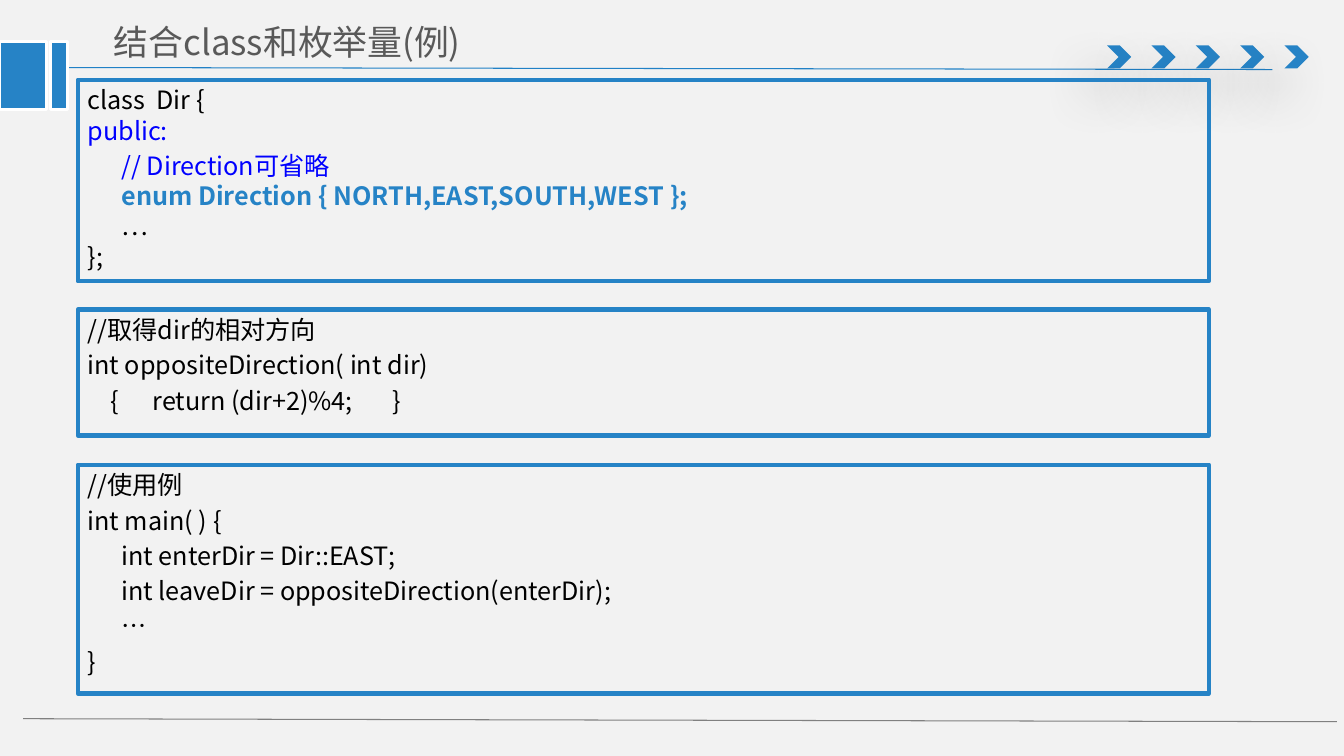
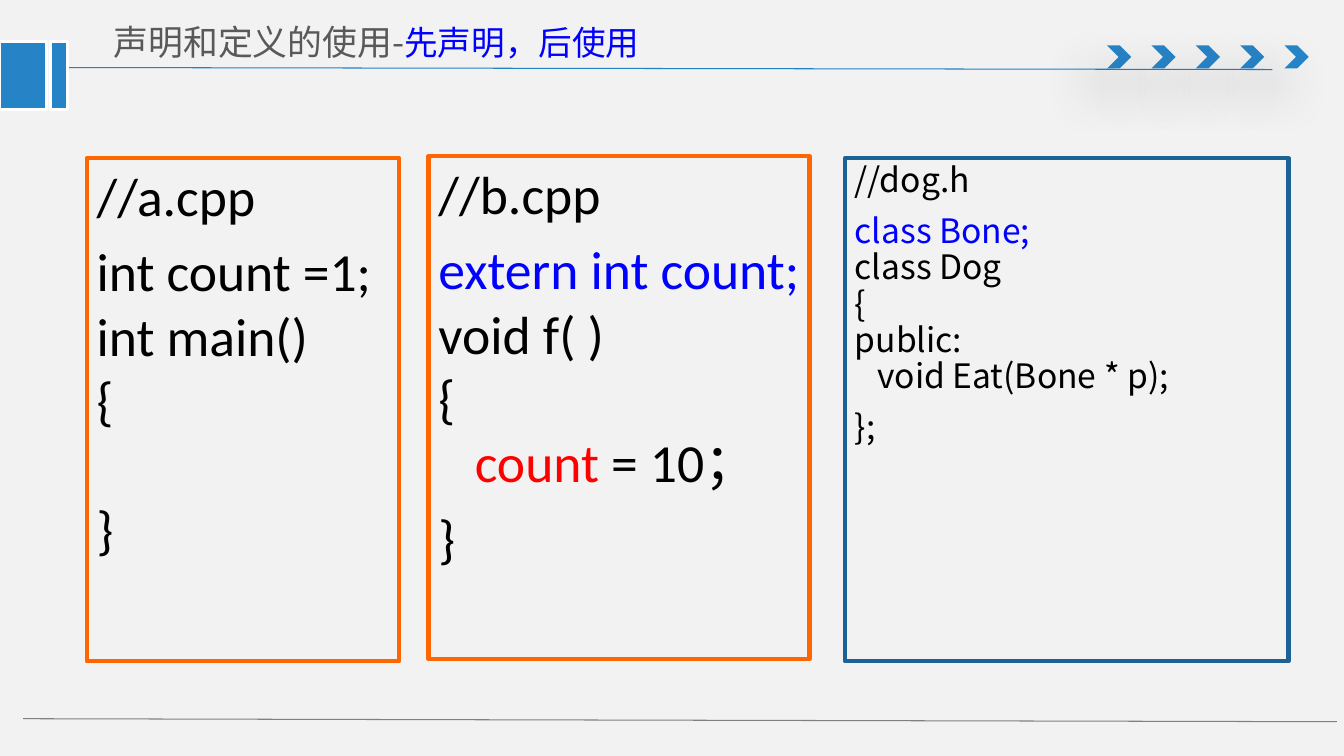
from lxml.etree import SubElement
from pptx import Presentation
from pptx.dml.color import RGBColor
from pptx.enum.shapes import MSO_CONNECTOR, MSO_SHAPE
from pptx.enum.text import MSO_ANCHOR, PP_ALIGN
from pptx.oxml.ns import qn
from pptx.util import Inches, Pt

COLORS = {
    "background": "F2F2F2",
    "accent": "2683C6",
    "rule": "2181C6",
    "footer": "808080",
    "white": "FFFFFF",
    "title": "595959",
    "text": "000000",
    "blue": "0000FF",
    "red": "FF0000",
    "orange": "FF6600",
    "navy": "1D6294",
}
SANS = "Noto Sans CJK SC"
LATIN = "Calibri"


def color(name):
    return RGBColor.from_string(COLORS[name])


def add_span(para, text, size, font, fill, bold=False):
    for index, line in enumerate(text.split("\n")):
        if index:
            para.add_line_break()
        if not line:
            continue
        span = para.add_run()
        span.text = line
        span.font.size = Pt(size)
        span.font.name = font
        span.font.bold = bold
        span.font.color.rgb = color(fill)
        east_asian = SubElement(span.font._element, qn("a:ea"))
        east_asian.set("typeface", SANS)


def write_text(frame, paragraphs, size=18, font=SANS, fill="text", before=0, leading=None):
    frame.word_wrap = True
    for index, spans in enumerate(paragraphs):
        para = frame.add_paragraph() if index else frame.paragraphs[0]
        para.alignment = PP_ALIGN.LEFT
        para.font.size = Pt(size)
        if index:
            para.space_before = Pt(before)
        if leading:
            para.line_spacing = Pt(leading)
        for span in [spans] if isinstance(spans, str) else spans:
            text, changes = (span, {}) if isinstance(span, str) else span
            add_span(para, text, **{"size": size, "font": font, "fill": fill, **changes})


def add_box(page, kind, left, top, width, height, fill=None, line=None, weight=2):
    box = page.shapes.add_shape(kind, Inches(left), Inches(top), Inches(width), Inches(height))
    box.shadow.inherit = False
    if fill:
        box.fill.solid()
        box.fill.fore_color.rgb = color(fill)
    else:
        box.fill.background()
    if line:
        box.line.color.rgb = color(line)
        box.line.width = Pt(weight)
    else:
        box.line.fill.background()
    return box


def add_rule(page, start, end, line):
    rule = page.shapes.add_connector(
        MSO_CONNECTOR.STRAIGHT, *(Inches(value) for value in (*start, *end)))
    rule.line.color.rgb = color(line)
    rule.line.width = Pt(0.75)
    SubElement(rule._element.spPr, qn("a:effectLst"))


def add_chevron(page, left):
    chevron = add_box(page, MSO_SHAPE.CHEVRON, left, 0.45, 0.24, 0.23, fill="accent")
    effects = chevron._element.spPr.find(qn("a:effectLst"))
    shadow = SubElement(effects, qn("a:outerShdw"), blurRad=str(Pt(36)),
                        dist=str(Pt(24)), dir=str(130 * 60000), rotWithShape="0")
    shade = SubElement(shadow, qn("a:srgbClr"), val=COLORS["text"])
    SubElement(shade, qn("a:alpha"), val="38000")


def add_page(deck, title, title_width):
    page = deck.slides.add_slide(deck.slide_layouts[6])
    page.background.fill.solid()
    page.background.fill.fore_color.rgb = color("background")
    add_rule(page, (0.53, 0.67), (12.62, 0.69), "rule")
    for index in range(5):
        add_chevron(page, 10.98 + 0.44 * index)
    add_rule(page, (0.23, 7.13), (13.26, 7.16), "footer")
    for left, width in ((0, 0.46), (0.5, 0.17)):
        add_box(page, MSO_SHAPE.RECTANGLE, left, 0.41, width, 0.68, fill="accent", line="white")
    box = page.shapes.add_textbox(Inches(0.99), Inches(0.14), Inches(title_width), Inches(0.55))
    frame = box.text_frame
    frame.margin_left = frame.margin_right = Inches(0.14)
    frame.margin_top = frame.margin_bottom = Inches(0.07)
    frame.vertical_anchor = MSO_ANCHOR.MIDDLE
    write_text(frame, [title], size=24.9, fill="title")
    return page


def add_code(page, left, top, width, height, paragraphs, line="accent", **text_format):
    box = add_box(page, MSO_SHAPE.RECTANGLE, left, top, width, height, line=line, weight=3)
    box.text_frame.vertical_anchor = MSO_ANCHOR.TOP
    write_text(box.text_frame, paragraphs, **text_format)


def build_enum_page(deck):
    page = add_page(deck, "结合class和枚举量(例)", 4.63)
    blocks = [
        (0.79, 2, [
            ["class  Dir {\n", ("public:", {"fill": "blue"})],
            [("      // Direction可省略\n      ", {"fill": "blue"}),
             ("enum Direction { NORTH,EAST,SOUTH,WEST };\n",
              {"fill": "accent", "bold": True}),
             "      …\n};"],
        ]),
        (3.07, 1.25, [
            "//取得dir的相对方向",
            "int oppositeDirection( int dir)",
            "    {      return (dir+2)%4;       }",
        ]),
        (4.61, 2.27, [
            "//使用例",
            "int main( ) {",
            "      int enterDir = Dir::EAST;",
            "      int leaveDir = oppositeDirection(enterDir);",
            "      …",
            "}",
        ]),
    ]
    for top, height, paragraphs in blocks:
        add_code(page, 0.77, top, 11.22, height, paragraphs, before=3.6, leading=21.6)


def build_declaration_page(deck):
    title = ["声明和定义的使用-", ("先声明，后使用", {"size": 24, "fill": "blue"})]
    page = add_page(deck, title, 8.46)
    source_format = {"line": "orange", "size": 38.3, "font": LATIN, "before": 7.7}
    add_code(page, 0.86, 1.57, 3.1, 4.99, [
        "//a.cpp",
        "int count =1;\nint main()\n{\n\n}",
    ], **source_format)
    add_code(page, 4.25, 1.55, 3.78, 4.99, [
        "//b.cpp",
        [("extern int count;\n", {"fill": "blue"}), "void f( )\n{\n   ",
         ("count", {"fill": "red"}), " = 10；"],
        "}",
    ], **source_format)
    add_code(page, 8.38, 1.57, 4.4, 4.99, [
        "//dog.h",
        [("class Bone;\n", {"fill": "blue"}),
         "class Dog\n{\npublic:\n   void Eat(Bone * p);"],
        "};",
    ], line="navy", size=24, before=10, leading=26)


def main():
    deck = Presentation()
    deck.slide_width = Inches(13.33)
    deck.slide_height = Inches(7.5)
    build_enum_page(deck)
    build_declaration_page(deck)
    deck.save("out.pptx")


if __name__ == "__main__":
    main()
